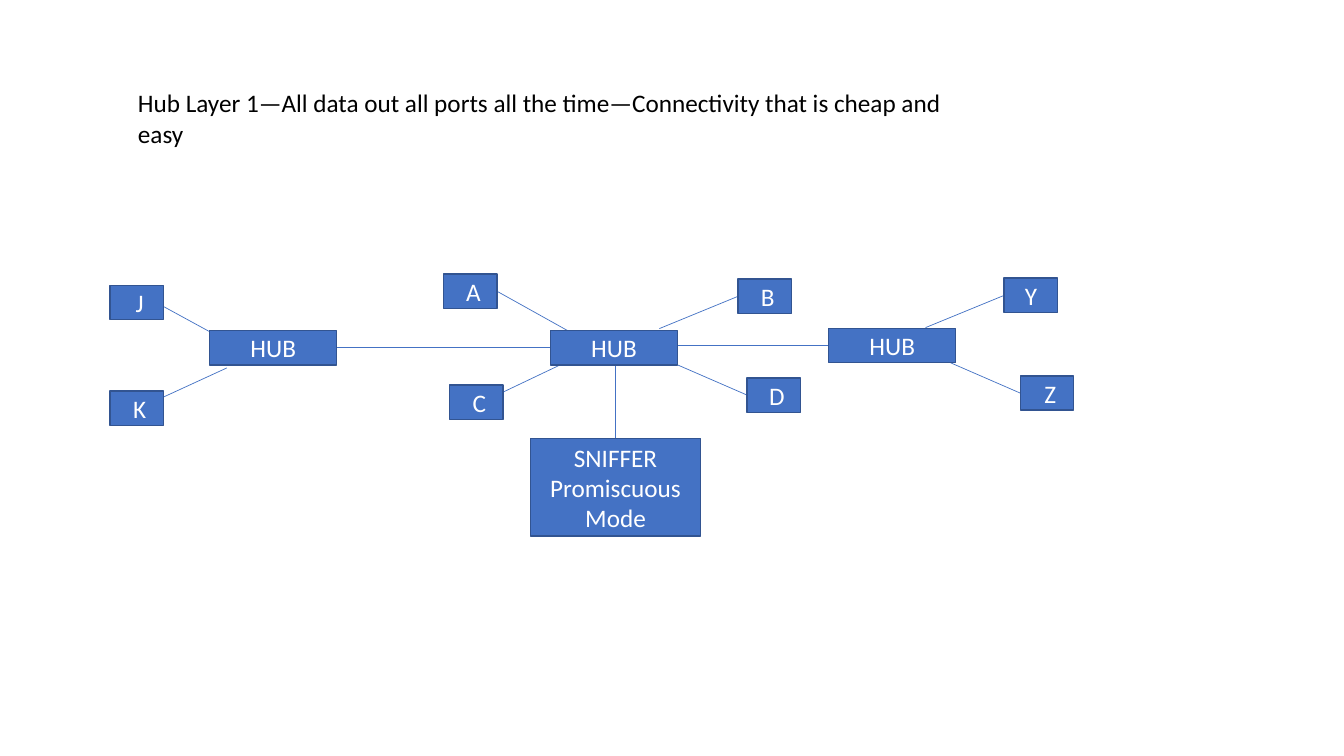
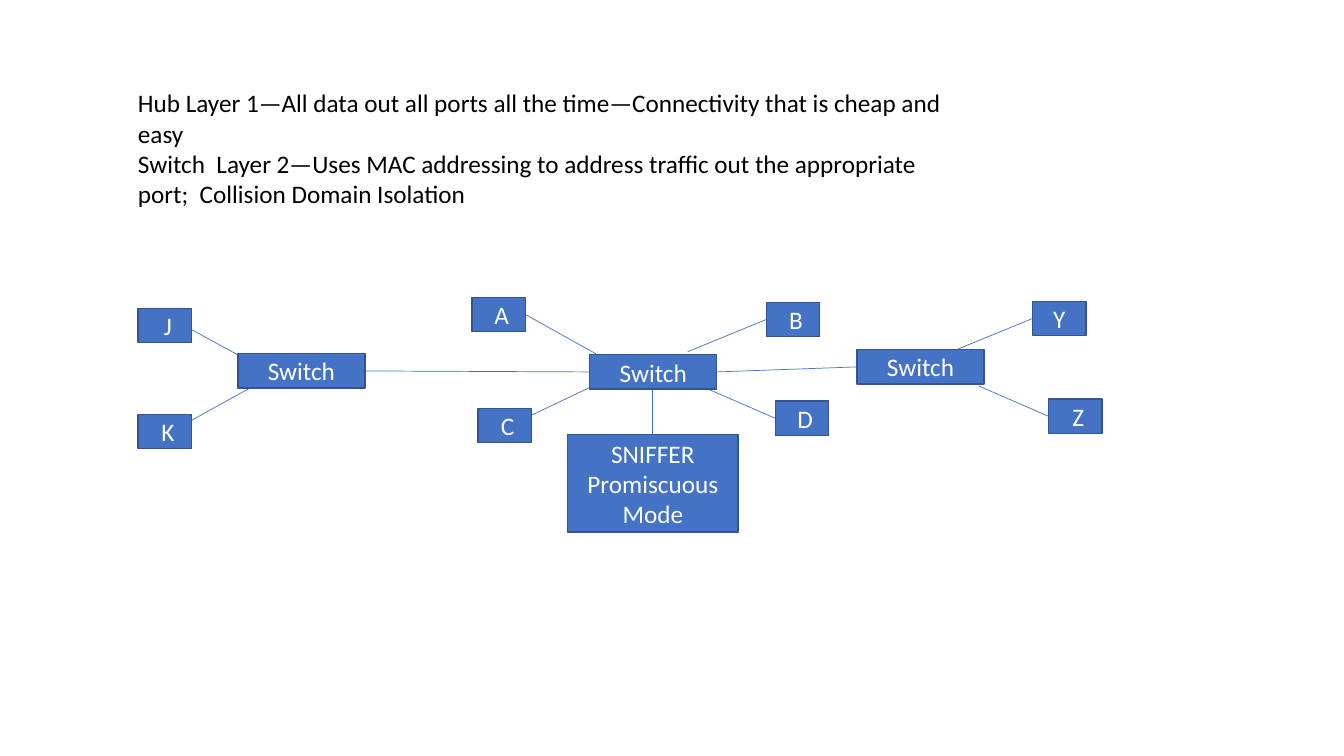
"""Two network diagrams: hubs at layer 1 and switches at layer 2."""
from lxml.etree import SubElement
from pptx import Presentation
from pptx.dml.color import RGBColor
from pptx.enum.shapes import MSO_CONNECTOR as Connector, MSO_SHAPE as Shape
from pptx.enum.text import MSO_ANCHOR as Anchor, MSO_AUTO_SIZE as AutoSize, PP_ALIGN as Align
from pptx.oxml.ns import qn
from pptx.util import Inches, Pt

COLORS = {"box": "4472C4", "border": "325491", "link": "4472C4", "title": "000000", "label": "FFFFFF"}
FONT = {"name": "Calibri", "size": Pt(18)}

HUB_TEXT = "Hub Layer 1—All data out all ports all the time—Connectivity that is cheap and easy"
SWITCH_TEXT = ("Switch  Layer 2—Uses MAC addressing to address traffic out the appropriate port;"
               "  Collision Domain Isolation")
SNIFFER_TEXT = "SNIFFER Promiscuous Mode"

TITLE_LEFT, TITLE_TOP, TITLE_WIDTH = 1.27, 0.82, 8.43
STATION_SIZE = (0.53, 0.34)
DEVICE_SIZE = (1.26, 0.34)
SNIFFER_SIZE = (1.69, 0.97)
LABEL_INSET = 0.16

# name: position, link side, link drop from the top, device port, label inset
STATIONS = {
    "A": ((4.40, 2.72), "right", 0.17, (5.63, 3.28), LABEL_INSET),
    "B": ((7.32, 2.77), "left", 0.17, (6.54, 3.26), LABEL_INSET),
    "C": ((4.46, 3.82), "right", 0.07, (5.62, 3.59), LABEL_INSET),
    "D": ((7.41, 3.75), "left", 0.17, (6.72, 3.62), LABEL_INSET),
    "J": ((1.09, 2.83), "right", 0.21, (2.28, 3.40), LABEL_INSET),
    "K": ((1.09, 3.88), "right", 0.06, (2.25, 3.65), LABEL_INSET),
    "Y": ((9.96, 2.76), "left", 0.17, (9.18, 3.25), 0.1),
    "Z": ((10.12, 3.73), "left", 0.17, (9.43, 3.60), LABEL_INSET),
}

NETWORKS = [
    {"title": [HUB_TEXT], "title_height": 0.71, "device": "HUB", "offset": (0, 0),
     "devices": [(2.08, 3.28), (5.46, 3.28), (8.22, 3.26)],
     "right_trunk_y": 3.43, "ports": {}, "sniffer": (5.26, 4.35)},
    {"title": [HUB_TEXT, SWITCH_TEXT], "title_height": 1.31, "device": "Switch", "offset": (0.28, 0.23),
     "devices": [(2.36, 3.51), (5.85, 3.52), (8.50, 3.47)],
     "right_trunk_y": 3.69, "ports": {"K": (2.55, 3.81)}, "sniffer": (5.63, 4.31)},
]


def color(name):
    return RGBColor.from_string(COLORS[name])


def set_values(target, values):
    for name, value in values.items():
        setattr(target, name, value)


def write(frame, lines, color_name, align):
    for index, line in enumerate(lines):
        paragraph = frame.paragraphs[0] if index == 0 else frame.add_paragraph()
        paragraph.text = line
        paragraph.alignment = align
        set_values(paragraph.font, FONT)
        paragraph.font.color.rgb = color(color_name)


def add_title(slide, lines, height):
    box = slide.shapes.add_textbox(*map(Inches, (TITLE_LEFT, TITLE_TOP, TITLE_WIDTH, height)))
    set_values(box.text_frame, {"word_wrap": True, "auto_size": AutoSize.SHAPE_TO_FIT_TEXT})
    write(box.text_frame, lines, "title", Align.LEFT)


def add_box(slide, position, size, text, inset=0.1):
    box = slide.shapes.add_shape(Shape.RECTANGLE, *map(Inches, position + size))
    box.shadow.inherit = False
    box.fill.solid()
    box.fill.fore_color.rgb = color("box")
    box.line.color.rgb = color("border")
    box.line.width = Pt(1)
    set_values(box.text_frame, {"word_wrap": True, "vertical_anchor": Anchor.MIDDLE,
                                "margin_left": Inches(inset)})
    write(box.text_frame, [text], "label", Align.CENTER)


def add_link(slide, start, end):
    link = slide.shapes.add_connector(Connector.STRAIGHT, *map(Inches, start + end))
    link.line.color.rgb = color("link")
    link.line.width = Pt(0.5)
    SubElement(link._element.spPr, qn("a:effectLst"))


def add_stations(slide, network):
    shift_x, shift_y = network["offset"]
    for name, ((x, y), side, drop, port, inset) in STATIONS.items():
        left, top = x + shift_x, y + shift_y
        edge = left + STATION_SIZE[0] if side == "right" else left
        end = network["ports"].get(name, (port[0] + shift_x, port[1] + shift_y))
        add_link(slide, (edge, top + drop), end)
        add_box(slide, (left, top), STATION_SIZE, name, inset)


def add_devices(slide, network):
    width, height = DEVICE_SIZE
    left, middle, right = network["devices"]
    center_y = height / 2
    add_link(slide, (left[0] + width, left[1] + center_y), (middle[0], middle[1] + center_y))
    add_link(slide, (middle[0] + width, network["right_trunk_y"]), (right[0], right[1] + center_y))
    sniffer = network["sniffer"]
    center_x = sniffer[0] + SNIFFER_SIZE[0] / 2
    add_link(slide, (center_x, middle[1] + height), (center_x, sniffer[1]))
    for position in network["devices"]:
        add_box(slide, position, DEVICE_SIZE, network["device"])
    add_box(slide, sniffer, SNIFFER_SIZE, SNIFFER_TEXT)


def main():
    presentation = Presentation()
    set_values(presentation, {"slide_width": Inches(13.33), "slide_height": Inches(7.5)})
    for network in NETWORKS:
        slide = presentation.slides.add_slide(presentation.slide_layouts[6])
        add_title(slide, network["title"], network["title_height"])
        add_stations(slide, network)
        add_devices(slide, network)
    presentation.save("out.pptx")


if __name__ == "__main__":
    main()
